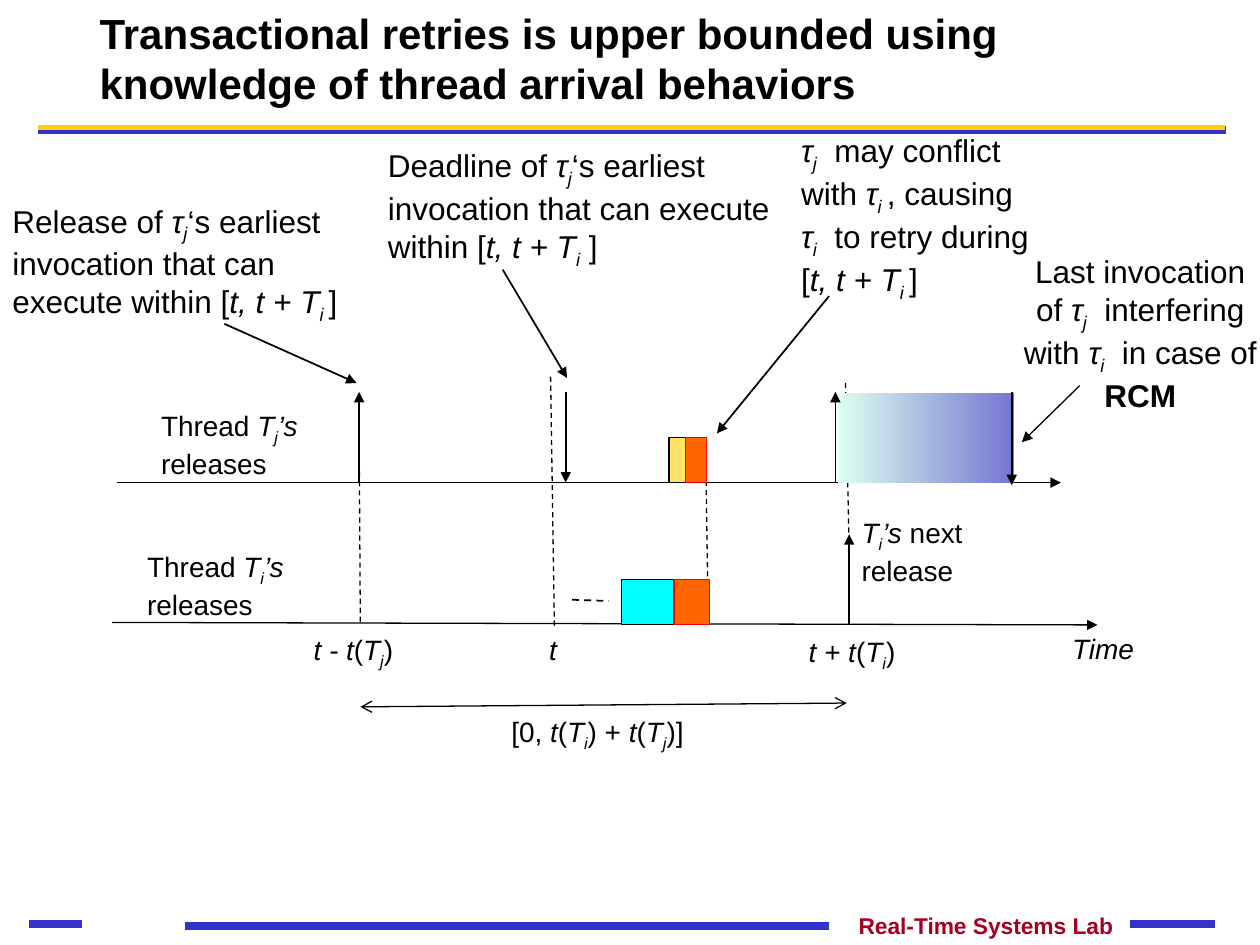
from lxml.etree import SubElement
from pptx import Presentation
from pptx.dml.color import RGBColor
from pptx.enum.dml import MSO_LINE
from pptx.enum.shapes import MSO_CONNECTOR, MSO_SHAPE
from pptx.enum.text import MSO_ANCHOR, MSO_AUTO_SIZE, PP_ALIGN
from pptx.oxml.ns import qn
from pptx.util import Inches, Pt

LEFT, CENTER, RIGHT = PP_ALIGN.LEFT, PP_ALIGN.CENTER, PP_ALIGN.RIGHT

deck = Presentation()
deck.slide_width, deck.slide_height = Inches(10), Inches(7.5)
page = deck.slides.add_slide(deck.slide_layouts[5])


def write(box, text, size=16, color="000000", bold=False, bold_tail="",
          align=LEFT, anchor=MSO_ANCHOR.TOP, wrap=True):
    """Fill a box; *stars* mark italics and _underscores_ mark subscripts."""
    frame = box.text_frame
    frame.auto_size = MSO_AUTO_SIZE.NONE
    frame.word_wrap = wrap
    frame.vertical_anchor = anchor
    para = frame.paragraphs[0]
    para.alignment = align
    pieces = [(part, i % 2 == 1, j % 2 == 1, bold)
              for i, section in enumerate(text.split("*"))
              for j, part in enumerate(section.split("_"))]
    pieces.append((bold_tail, False, False, True))
    for part, italic, subscript, heavy in pieces:
        if not part:
            continue
        span = para.add_run()
        span.text = part
        font = span.font
        font.name, font.size = "Arial", Pt(size)
        font.italic, font.bold = italic, heavy
        font.color.rgb = RGBColor.from_string(color)
        if subscript:
            span._r.get_or_add_rPr().set("baseline", "-25000")


def draw_line(x1, y1, x2, y2, width=0.75, color="000000", dashed=False, start=None, end=None):
    """Draw a line; start and end name the arrowheads."""
    connector = page.shapes.add_connector(
        MSO_CONNECTOR.STRAIGHT, Inches(x1), Inches(y1), Inches(x2), Inches(y2))
    connector.line.width = Pt(width)
    connector.line.color.rgb = RGBColor.from_string(color)
    if dashed:
        connector.line.dash_style = MSO_LINE.DASH
    outline = connector.line._get_or_add_ln()
    for tag, kind in (("a:headEnd", start), ("a:tailEnd", end)):
        if kind:
            SubElement(outline, qn(tag)).set("type", kind)
    SubElement(connector._element.spPr, qn("a:effectLst"))


# Title, rules and footer
for x1, x2, y, width, color in (
    (0.3, 9.73, 1.03, 4.5, "3333CC"),
    (0.3, 9.72, 1.01, 3, "FFCF01"),
    (0.23, 0.65, 7.33, 4.5, "3333CC"),
    (1.47, 6.58, 7.35, 4.5, "3333CC"),
    (8.97, 9.64, 7.33, 4.5, "3333CC"),
):
    draw_line(x1, y, x2, y, width, color)

title = page.shapes.title
title.left, title.top, title.width, title.height = map(Inches, (0.69, 0.24, 8.42, 0.67))
write(title, "Transactional retries is upper bounded using knowledge of thread arrival behaviors",
      size=24, bold=True, anchor=MSO_ANCHOR.BOTTOM)
footer = page.shapes.add_textbox(Inches(6.71), Inches(7.19), Inches(2.22), Inches(0.32))
write(footer, "Real-Time Systems Lab", size=13, color="A50021", bold=True, align=RIGHT, wrap=False)

# Time axes and the interval below them
draw_line(0.89, 4.94, 8.71, 4.96, end="triangle")
draw_line(0.93, 3.83, 8.42, 3.83, end="triangle")
draw_line(2.86, 5.61, 6.72, 5.58, start="arrow", end="arrow")

# Dashed guides
for x1, y1, x2, y2 in (
    (2.85, 3.39, 2.86, 4.96),
    (4.37, 2.99, 4.4, 4.97),
    (5.6, 3.53, 5.62, 4.85),
    (6.71, 3.04, 6.74, 4.36),
):
    draw_line(x1, y1, x2, y2, dashed=True)
draw_line(4.54, 4.76, 4.83, 4.77, width=1, dashed=True)

# Execution blocks
for x, y, width, height, fill, border in (
    (4.93, 4.6, 0.42, 0.36, "00FFFF", "000000"),
    (5.35, 4.6, 0.28, 0.36, "FF6600", "FF0000"),
    (5.31, 3.47, 0.15, 0.36, "FFE267", "000000"),
    (5.44, 3.47, 0.17, 0.36, "FF6600", "FF0000"),
    (6.65, 3.12, 1.4, 0.71, None, None),
):
    block = page.shapes.add_shape(
        MSO_SHAPE.RECTANGLE, Inches(x), Inches(y), Inches(width), Inches(height))
    block.shadow.inherit = False
    if fill:
        block.fill.solid()
        block.fill.fore_color.rgb = RGBColor.from_string(fill)
        block.line.color.rgb = RGBColor.from_string(border)
        block.line.width = Pt(0.75)
    else:
        block.fill.gradient()
        block.fill.gradient_angle = 180
        for stop, position, color in zip(block.fill.gradient_stops, (0, 1), ("7575D1", "DCFFEF")):
            stop.position = position
            stop.color.rgb = RGBColor.from_string(color)
        block.line.fill.background()

# Releases point up, deadlines point down, callouts point at their event
for x1, y1, x2, y2 in (
    (2.85, 3.83, 2.85, 3.11),
    (6.63, 3.83, 6.63, 3.11),
    (6.74, 4.96, 6.74, 4.24),
    (4.49, 3.11, 4.49, 3.83),
    (8.03, 3.11, 8.03, 3.85),
    (1.78, 2.57, 2.83, 3.04),
    (3.99, 2.14, 4.5, 3),
    (6.58, 2.35, 5.69, 3.44),
):
    draw_line(x1, y1, x2, y2, width=1, end="triangle")
draw_line(8.57, 3.06, 8.11, 3.51, end="triangle")

# Labels and callouts
for x, y, width, height, text, style in (
    (8.41, 4.96, 0.72, 0.37, "*Time*", {}),
    (2.39, 4.97, 0.99, 0.41, "*t - t*(*T_j_*)", {}),
    (4.26, 4.97, 0.36, 0.37, "*t*", {}),
    (6.32, 4.99, 0.99, 0.41, "*t + t*(*T_i_*)", {}),
    (3.96, 5.62, 1.93, 0.41, "[0, *t*(*T_i_*) + *t*(*T_j_*)]", {}),
    (6.74, 4.04, 1.21, 0.67, "*T_i_’s *next release", {}),
    (1.07, 4.31, 1.43, 0.67, "Thread *T_i_’s *releases", {}),
    (1.18, 3.19, 1.43, 0.67, "Thread *T_j_’s *releases", {}),
    (0, 1.55, 2.87, 1.08,
     "Release of *τ_j_*‘s earliest invocation that can execute within [*t, t + T_i _*]",
     {"size": 18}),
    (2.98, 1.11, 3.31, 1.08,
     "Deadline of *τ_j_*‘s earliest invocation that can execute within [*t, t + T_i_* ]",
     {"size": 18}),
    (6.26, 0.99, 2.06, 1.47,
     "*τ_j_*  may conflict with *τ_i _*, causing *τ_i_*  to retry during [*t, t + T_i _*]",
     {"size": 18}),
    (8.02, 1.95, 2.06, 1.38,
     "Last invocation of *τ_j_*  interfering with *τ_i_*  in case of ",
     {"size": 18, "align": CENTER, "bold_tail": "RCM"}),
):
    label = page.shapes.add_textbox(Inches(x), Inches(y), Inches(width), Inches(height))
    write(label, text, **style)

deck.save("out.pptx")
